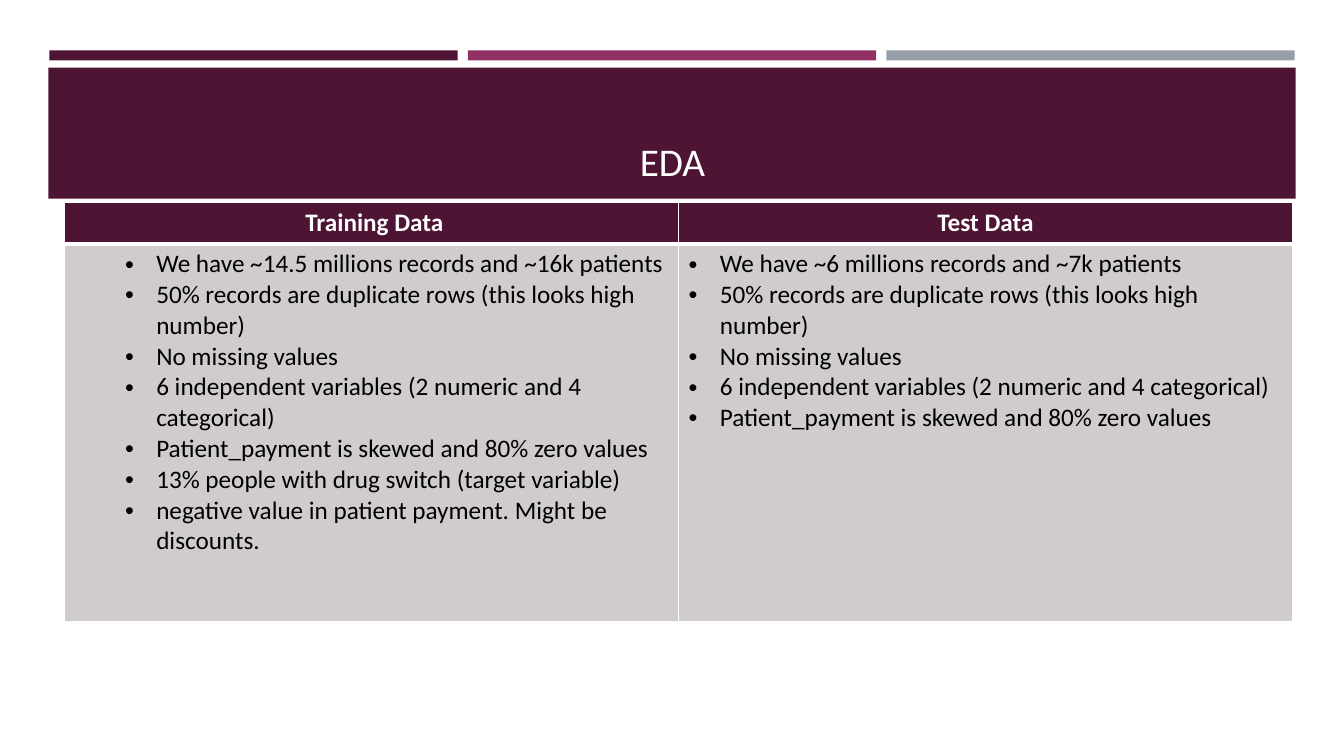
from lxml.etree import SubElement
from pptx import Presentation
from pptx.dml.color import RGBColor
from pptx.enum.shapes import MSO_SHAPE as Shape
from pptx.enum.text import MSO_ANCHOR as Anchor, PP_ALIGN as Align
from pptx.oxml.ns import qn
from pptx.util import Emu, Pt

PLUM = RGBColor(0x4D, 0x14, 0x34)
MAGENTA = RGBColor(0x90, 0x31, 0x63)
STEEL = RGBColor(0x96, 0x9F, 0xA7)
PALE = RGBColor(0xD0, 0xCC, 0xCE)
WHITE = RGBColor(0xFF, 0xFF, 0xFF)
BLACK = RGBColor(0x00, 0x00, 0x00)

FONT = "Calibri"
BULLET_INDENT = 31

COLUMNS = [
    # heading, left indent, outline level, bullet texts
    (" Training Data", 81, 1, [
        "We have ~14.5 millions records and ~16k patients",
        "50% records are duplicate rows (this looks high number)",
        "No missing values",
        "6 independent variables (2 numeric and 4 categorical)",
        "Patient_payment is skewed and 80% zero values",
        "13% people with drug switch (target variable)",
        "negative value in patient payment. Might be discounts.",
    ]),
    ("Test Data", 31, 0, [
        "We have ~6 millions records and ~7k patients",
        "50% records are duplicate rows (this looks high number)",
        "No missing values",
        "6 independent variables (2 numeric and 4 categorical)",
        "Patient_payment is skewed and 80% zero values",
    ]),
]


def px(length):
    """One px is a hundredth of an inch."""
    return Emu(length * 9144)


def add_bar(slide, left, top, width, height, color):
    bar = slide.shapes.add_shape(
        Shape.RECTANGLE, px(left), px(top), px(width), px(height))
    bar.shadow.inherit = False
    bar.fill.solid()
    bar.fill.fore_color.rgb = color
    bar.line.fill.background()


def add_run(paragraph, text, size, color, bold=False):
    run = paragraph.add_run()
    run.text = text
    run.font.name = FONT
    run.font.size = Pt(size)
    run.font.bold = bold
    run.font.color.rgb = color


def add_title(slide, text):
    box = slide.shapes.add_textbox(px(64), px(77), px(1206), px(111))
    frame = box.text_frame
    frame.word_wrap = True
    frame.vertical_anchor = Anchor.BOTTOM
    paragraph = frame.paragraphs[0]
    paragraph.alignment = Align.CENTER
    add_run(paragraph, text, 28, WHITE)


def set_bullet(paragraph, indent):
    properties = paragraph._p.get_or_add_pPr()
    properties.set("marL", str(px(indent)))
    properties.set("indent", str(-px(BULLET_INDENT)))
    SubElement(properties, qn("a:buFont")).set("typeface", "Arial")
    SubElement(properties, qn("a:buChar")).set("char", "•")


def style_cell(cell, color, top, bottom):
    """White borders, 1 pt at the sides, and a plain fill."""
    properties = cell._tc.get_or_add_tcPr()
    for side, points in (("L", 1), ("R", 1), ("T", top), ("B", bottom)):
        line = SubElement(properties, qn(f"a:ln{side}"))
        line.set("w", str(Pt(points)))
        fill = SubElement(line, qn("a:solidFill"))
        SubElement(fill, qn("a:srgbClr")).set("val", str(WHITE))
    cell.fill.solid()
    cell.fill.fore_color.rgb = color


def fill_heading(cell, text):
    style_cell(cell, PLUM, top=1, bottom=3)
    paragraph = cell.text_frame.paragraphs[0]
    paragraph.alignment = Align.CENTER
    add_run(paragraph, text, 18, WHITE, bold=True)


def fill_bullets(cell, texts, indent, level):
    style_cell(cell, PALE, top=3, bottom=1)
    frame = cell.text_frame
    for index, text in enumerate(texts):
        paragraph = frame.add_paragraph() if index else frame.paragraphs[0]
        paragraph.level = level
        set_bullet(paragraph, indent)
        add_run(paragraph, text, 18, BLACK)


def add_comparison(slide):
    frame = slide.shapes.add_table(
        2, len(COLUMNS), px(64), px(201), px(1218), px(416))
    table = frame.table
    table.horz_banding = False
    for row, height in zip(table.rows, (41, 375)):
        row.height = px(height)
    for index, (heading, indent, level, texts) in enumerate(COLUMNS):
        table.columns[index].width = px(609)
        fill_heading(table.cell(0, index), heading)
        fill_bullets(table.cell(1, index), texts, indent, level)


def main():
    presentation = Presentation()
    presentation.slide_width = px(1333)
    presentation.slide_height = px(750)
    slide = presentation.slides.add_slide(presentation.slide_layouts[6])

    # Accent strips
    for index, color in enumerate((PLUM, MAGENTA, STEEL)):
        add_bar(slide, 49 + 415 * index, 50, 405, 10, color)

    # Title band
    add_bar(slide, 48, 67, 1237, 130, PLUM)
    add_title(slide, "EDA")

    # Training and test data side by side
    add_comparison(slide)

    presentation.save("out.pptx")


if __name__ == "__main__":
    main()
